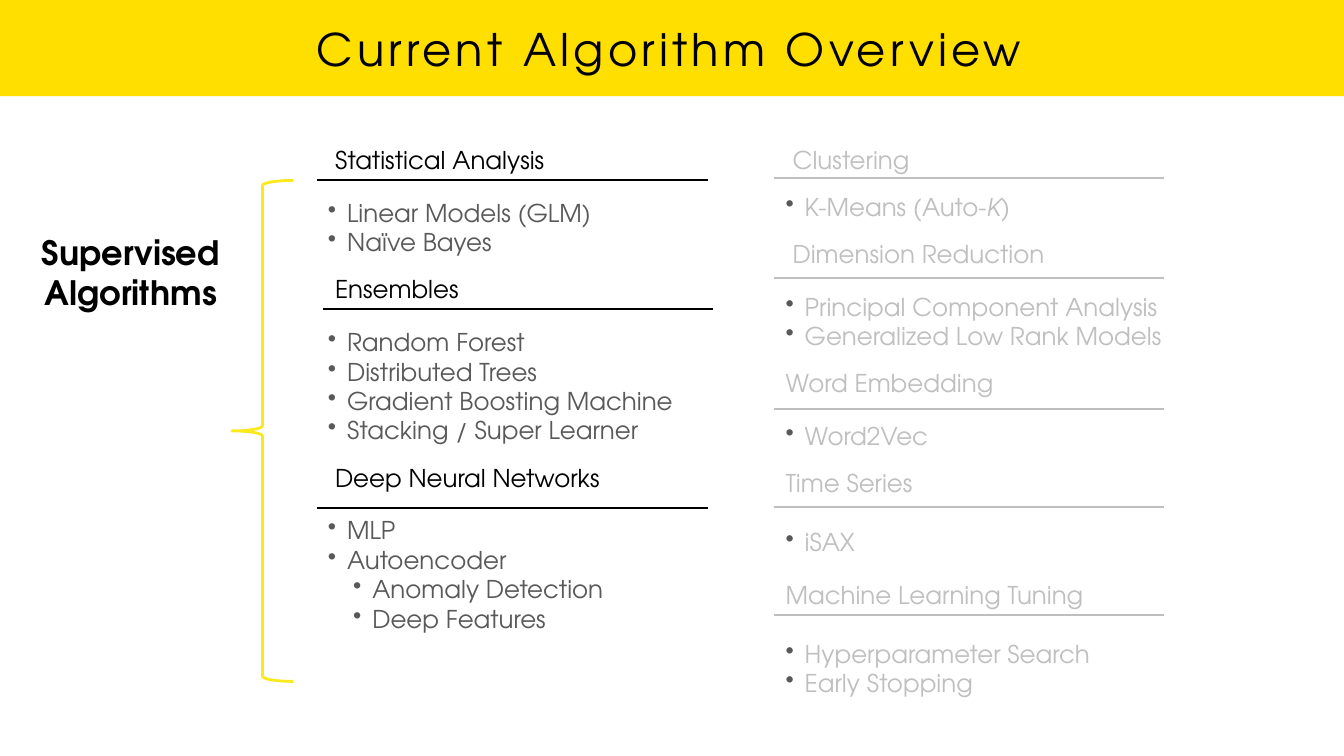
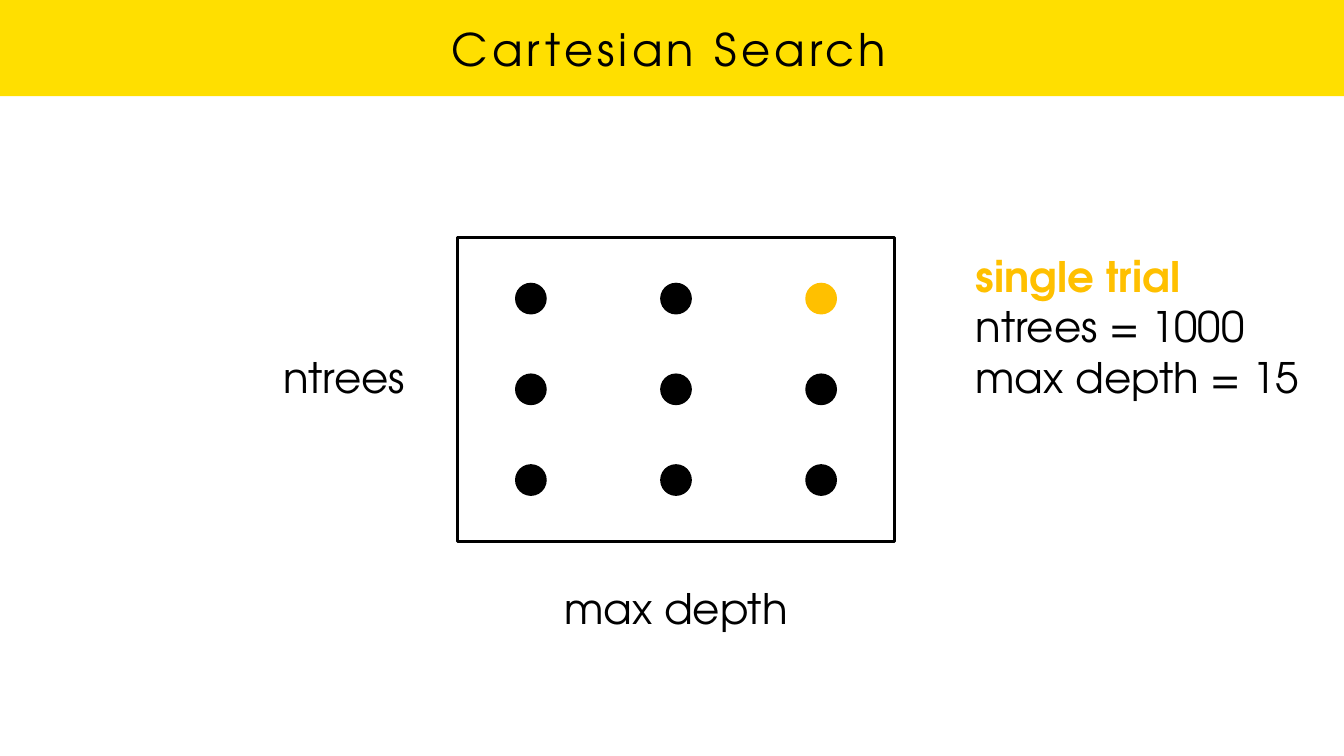
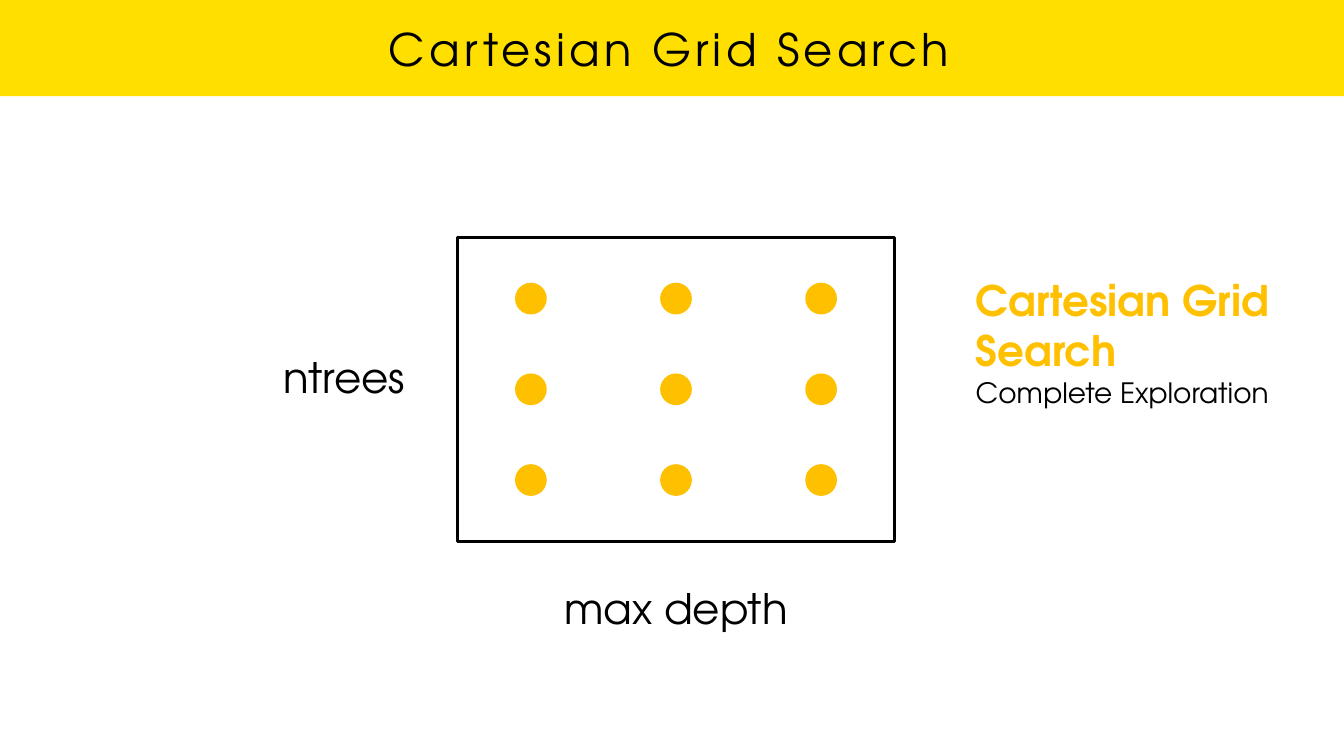
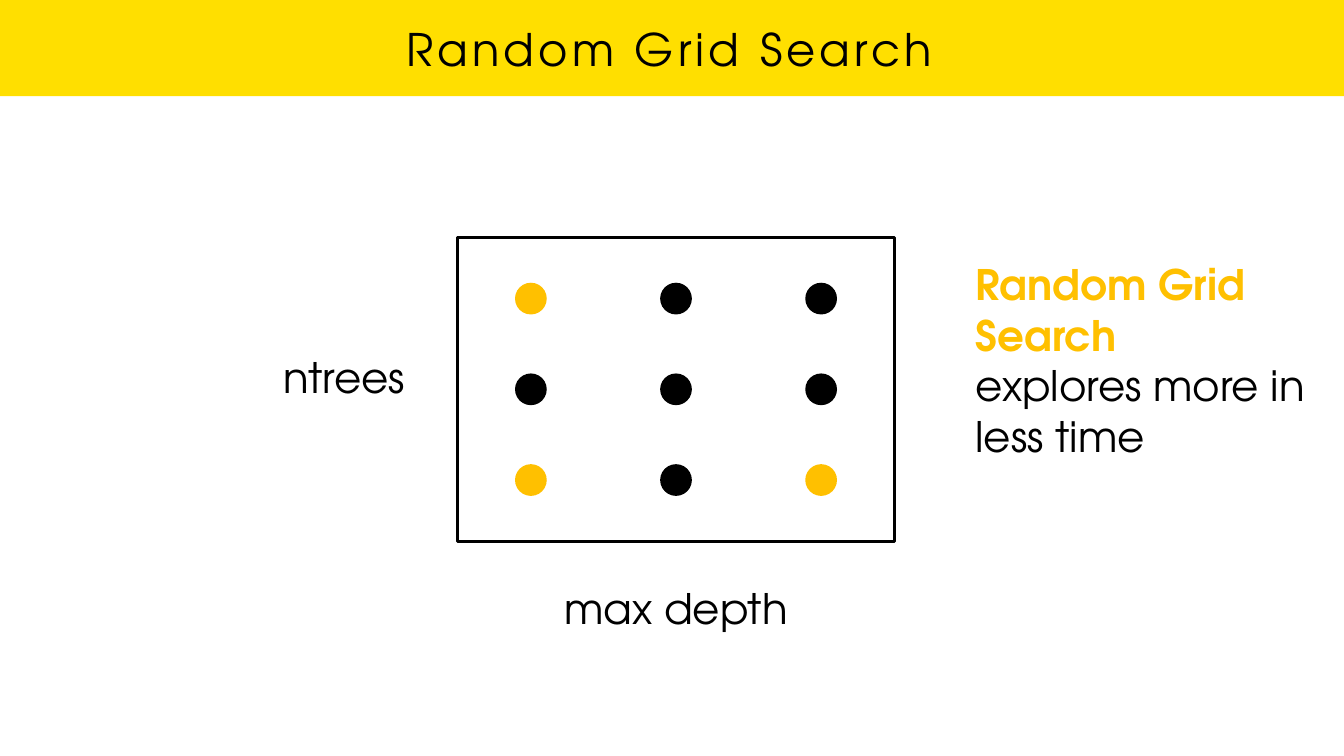
from lxml import etree
from pptx import Presentation, util as u
from pptx.dml.color import RGBColor
from pptx.enum import shapes as sh, text as tx
from pptx.oxml import ns

INK = {"black": "000000", "body": "595959", "pale": "BFBFBF",
       "band": "FFDF00", "brace": "FBE91E", "gold": "FFC000"}
FONT = "TeX Gyre Adventor"
SIZE = 35            # points, topic lists
LABEL = 60           # points, plot labels
TIGHT, WIDE = 33.6, 42   # gaps between list blocks, in points
LEFT, MID = tx.PP_ALIGN.LEFT, tx.PP_ALIGN.CENTER
KIND = sh.MSO_SHAPE


def write(par, words, size=LABEL, ink="black", bold=False, track=0):
    """Add runs to a paragraph; the part between bars is italic."""
    for i, part in enumerate(words.split("|")):
        run = par.add_run()
        run.text = part
        font = run.font
        font.name, font.size, font.bold = FONT, u.Pt(size), bold
        font.italic = i % 2 == 1
        font.color.rgb = RGBColor.from_string(INK[ink])
        if track:
            run._r.get_or_add_rPr().set("spc", str(track * 100))


def bullet(par, level):
    """Give a paragraph a hanging round bullet."""
    par.level = level
    props = par._p.get_or_add_pPr()
    props.set("marL", str(u.Inches(0.38 + level * 0.5)))
    props.set("indent", str(u.Inches(-0.38)))
    tint = etree.SubElement(props, ns.qn("a:buClr"))
    etree.SubElement(tint, ns.qn("a:srgbClr")).set("val", INK["body"])
    etree.SubElement(props, ns.qn("a:buChar")).set("char", "•")


class Deck:
    def __init__(self):
        self.show = Presentation()
        self.show.slide_width = u.Inches(26.67)
        self.show.slide_height = u.Inches(15)
        self.slide = None

    def page(self, title):
        """Start a slide with its yellow band and title."""
        self.slide = self.show.slides.add_slide(self.show.slide_layouts[6])
        self.shape(KIND.RECTANGLE, (-0.01, 0, 26.69, 1.91), fill="band")
        self.label((0.6, -0.01, 25.36, 1.93), [(title, {"size": 64, "track": 6})],
                   grow=False)

    def shape(self, kind, box, fill=None, line=None, width=4, host=None):
        host = host or self.slide
        item = host.shapes.add_shape(kind, *map(u.Inches, box))
        item.shadow.inherit = False
        if fill:
            item.fill.solid()
            item.fill.fore_color.rgb = RGBColor.from_string(INK[fill])
        else:
            item.fill.background()
        if line:
            item.line.color.rgb = RGBColor.from_string(INK[line])
            item.line.width = u.Pt(width)
        else:
            item.line.fill.background()

    def rule(self, x, y, ink):
        ends = (u.Inches(v) for v in (x, y, x + 7.74, y))
        line = self.slide.shapes.add_connector(sh.MSO_CONNECTOR.STRAIGHT, *ends)
        line.line.color.rgb = RGBColor.from_string(INK[ink])
        line.line.width = u.Pt(3)
        etree.SubElement(line._element.spPr, ns.qn("a:effectLst"))

    def frame(self, box, inset):
        area = self.slide.shapes.add_textbox(*map(u.Inches, box)).text_frame
        area.word_wrap = True
        area.margin_left = area.margin_right = u.Inches(inset)
        area.margin_top = area.margin_bottom = u.Inches(inset)
        return area

    def label(self, box, rows, align=MID, grow=True):
        """Text centred in height; rows are (words, format) pairs."""
        area = self.frame(box, 0.06)
        area.vertical_anchor = tx.MSO_ANCHOR.MIDDLE
        if grow:
            area.auto_size = tx.MSO_AUTO_SIZE.SHAPE_TO_FIT_TEXT
        for i, (words, style) in enumerate(rows):
            par = area.add_paragraph() if i else area.paragraphs[0]
            par.alignment = align
            write(par, words, **style)

    def topics(self, box, blocks, head_ink, item_ink):
        """Headings, each followed by a bulleted list."""
        area = self.frame(box, 0.1)
        for i, (head, items, style) in enumerate(blocks):
            par = area.add_paragraph() if i else area.paragraphs[0]
            par.line_spacing = 0.8
            if i:
                par.space_before = u.Pt(style.get("above", TIGHT))
            lead = u.Inches(style.get("lead", 0))
            par._p.get_or_add_pPr().set("marL", str(lead))
            write(par, head, SIZE, head_ink)
            for j, item in enumerate(items):
                words, level = item if isinstance(item, tuple) else (item, 0)
                par = area.add_paragraph()
                bullet(par, level)
                par.line_spacing = style.get("pitch", 1.0)
                if j == 0:
                    par.space_before = u.Pt(style.get("below", TIGHT))
                write(par, words, SIZE, item_ink)

    def plot(self, gold):
        """Framed 3 by 3 grid of trials; gold holds (row, column) pairs."""
        group = self.slide.shapes.add_group_shape()
        self.shape(KIND.RECTANGLE, (9.08, 4.71, 8.67, 6.04), line="black", host=group)
        for row in range(3):
            for col in range(3):
                spot = (10.22 + col * 2.88, 5.61 + row * 1.8, 0.63, 0.63)
                ink = "gold" if (row, col) in gold else "black"
                self.shape(KIND.OVAL, spot, fill=ink, host=group)
        self.label((9.08, 11.5, 8.67, 1.12), [("max depth", {})])
        self.label((4.82, 6.92, 4.02, 1.12), [("ntrees", {})])


IN = {"lead": 0.14}
SUPER = [
    ("Statistical Analysis", ["Linear Models (GLM)", "Naïve Bayes"], IN),
    ("Ensembles", ["Random Forest", "Distributed Trees",
                   "Gradient Boosting Machine", "Stacking / Super Learner"], IN),
    ("Deep Neural Networks", ["MLP", "Autoencoder", ("Anomaly Detection", 1),
                              ("Deep Features", 1)], IN),
]
OTHER = [
    ("Clustering", ["K-Means (Auto-|K|)"], {"lead": 0.14, "pitch": 0.8}),
    ("Dimension Reduction", ["Principal Component Analysis",
                             "Generalized Low Rank Models"], IN),
    ("Word Embedding", ["Word2Vec"], {}),
    ("Time Series", ["iSAX"], {"below": WIDE}),
    ("Machine Learning Tuning", ["Hyperparameter Search", "Early Stopping"],
     {"above": WIDE, "below": WIDE}),
]
BOLD = {"ink": "gold", "bold": True}
# Title, gold trials, note box top and height, note rows
TRIALS = [
    ("Cartesian Search", {(0, 2)}, 4.9, 3.14,
     [("single trial", BOLD), ("ntrees = 1000", {}), ("max depth = 15", {})]),
    ("Cartesian Grid Search", {(r, c) for r in range(3) for c in range(3)}, 5.38, 2.8,
     [("Cartesian Grid Search", BOLD), ("Complete Exploration", {"size": 40})]),
    ("Random Grid Search", {(0, 0), (2, 0), (2, 2)}, 5.06, 4.15,
     [("Random Grid Search", BOLD), ("explores more in less time", {})]),
]


def main():
    deck = Deck()

    # Overview of algorithms
    deck.page("Current Algorithm Overview")
    deck.topics((6.41, 2.89, 8.23, 12.75), SUPER, "black", "body")
    deck.topics((15.49, 2.89, 11.17, 12.75), OTHER, "pale", "pale")
    for x, y in ((6.3, 3.58), (6.41, 6.13), (6.3, 10.08)):
        deck.rule(x, y, "black")
    for y in (3.54, 5.52, 8.11, 10.06, 12.21):
        deck.rule(15.36, y, "pale")
    deck.shape(KIND.LEFT_BRACE, (4.6, 3.58, 1.22, 9.94), line="brace")
    side = {"size": 48, "bold": True}
    deck.label((0, 4.54, 5.19, 1.73), [("Supervised", side), ("Algorithms", side)])

    # Search strategies
    for title, gold, top, high, rows in TRIALS:
        deck.page(title)
        deck.plot(gold)
        deck.label((19.3, top, 6.66, high), rows, align=LEFT)

    deck.show.save("out.pptx")


if __name__ == "__main__":
    main()
